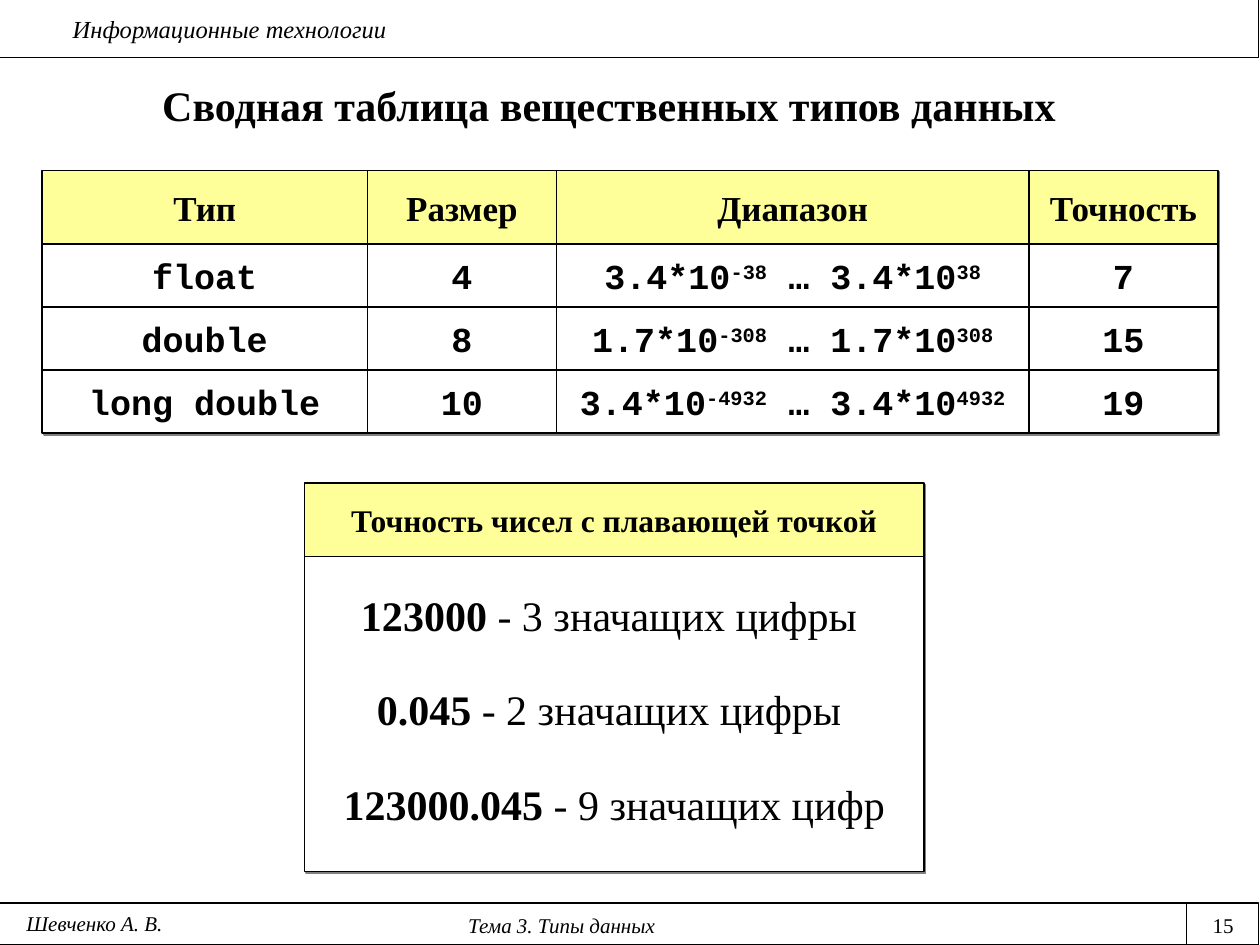
from itertools import accumulate

from lxml import etree
from pptx import Presentation
from pptx import util as u
from pptx.dml.color import RGBColor
from pptx.enum import shapes, text
from pptx.oxml import parse_xml
from pptx.oxml.ns import nsdecls, qn

Pt = u.Pt
SERIF, MONO = "Times New Roman", "Courier New"
BLACK, WHITE, YELLOW, GRAY = "000000", "FFFFFF", "FFFF99", "808080"
CENTER, LEFT = text.PP_ALIGN.CENTER, text.PP_ALIGN.LEFT


def color(hex_value):
    return RGBColor.from_string(hex_value)


def add_run(p, words, size, font=SERIF, bold=False, italic=False, raised=False):
    r = p.add_run()
    r.text = words
    f = r.font
    f.name, f.size, f.bold, f.italic = font, Pt(size), bold, italic
    f.color.rgb = color(BLACK)
    if raised:
        r._r.get_or_add_rPr().set("baseline", "30000")


def add_shadow(sp):
    effects = sp._element.spPr.find(qn("a:effectLst"))
    effects.append(parse_xml(
        f'<a:outerShdw {nsdecls("a")} dist="{Pt(1.41)}" dir="2700000" algn="ctr" rotWithShape="0">'
        f'<a:srgbClr val="{GRAY}"/></a:outerShdw>'))


def add_box(s, box, fill=WHITE, line=None, shadow=False):
    sp = s.shapes.add_shape(shapes.MSO_SHAPE.RECTANGLE, *map(Pt, box))
    sp.shadow.inherit = False
    sp.fill.solid()
    sp.fill.fore_color.rgb = color(fill)
    if line:
        sp.line.color.rgb = color(BLACK)
        sp.line.width = Pt(line)
    else:
        sp.line.fill.background()
    if shadow:
        add_shadow(sp)
    tf = sp.text_frame
    tf.word_wrap = True
    tf.vertical_anchor = text.MSO_ANCHOR.MIDDLE
    tf.paragraphs[0].alignment = CENTER
    return sp


def add_label(s, box, words, size, align=CENTER, anchor=text.MSO_ANCHOR.TOP, **style):
    tf = s.shapes.add_textbox(*map(Pt, box)).text_frame
    tf.word_wrap = True
    tf.vertical_anchor = anchor
    p = tf.paragraphs[0]
    p.alignment = align
    add_run(p, words, size, **style)


def add_header(s, box):
    x, y, w, h = box
    add_box(s, box, line=0.75)
    add_label(s, (x + 35.25, y + 5.15, 678, 24.5), "Информационные технологии", 14, LEFT, italic=True)


def add_footer(s, box):
    x, y, w, h = box
    number_w = 42
    number_x = x + w - number_w
    add_box(s, (x - 0.75, y, w, h), line=0.75)
    add_label(s, (x, y + 1.8, number_x - x - 36, 21.6), "Тема 3. Типы данных", 12, italic=True)
    add_label(s, (number_x, y + 1.8, number_w, 21.6), "15", 12)
    divider = s.shapes.add_connector(
        shapes.MSO_CONNECTOR.STRAIGHT, Pt(number_x), Pt(y), Pt(number_x), Pt(y + h))
    divider.line.color.rgb = color(BLACK)
    divider.line.width = Pt(0.75)
    etree.SubElement(divider._element.spPr, qn("a:effectLst"))
    add_label(s, (x, y + 0.75, 108, 21.6), "Шевченко А. В.", 12, italic=True)


def add_types_grid(s, box):
    x, y, w, h = box
    head_h, row_h = 42, (h - 42) / 3
    col_widths = (186, 108, w - 402, 108)
    lefts = accumulate(col_widths[:-1], initial=x)
    headings = ("Тип", "Размер", "Диапазон", "Точность")
    # type, size, mantissa, exponent, precision
    types = (("float", "4", "3.4", "38", "7"),
             ("double", "8", "1.7", "308", "15"),
             ("long double", "10", "3.4", "4932", "19"))

    rows = [[[h] for h in headings]]
    for name, size, mantissa, exponent, precision in types:
        limits = [f"{mantissa}*10", f"-{exponent}", f" … {mantissa}*10", exponent]
        rows.append([[name], [size], limits, [precision]])

    # Cells with a shadow each, column by column
    for left, width, column in zip(lefts, col_widths, zip(*rows)):
        for i, parts in enumerate(column):
            top = y + head_h + (i - 1) * row_h if i else y
            cell_box = (left, top, width, row_h if i else head_h)
            sp = add_box(s, cell_box, WHITE if i else YELLOW, 1, shadow=True)
            p = sp.text_frame.paragraphs[0]
            for k, part in enumerate(parts):
                add_run(p, part, 20, MONO if i else SERIF, bold=True, raised=k % 2 == 1)


def add_precision_panel(s, box):
    x, y, w, h = box
    head_h = 42
    head = add_box(s, (x, y, w, head_h), YELLOW, 1, shadow=True)
    add_run(head.text_frame.paragraphs[0], "Точность чисел с плавающей точкой", 18, bold=True)
    add_box(s, (x, y + head_h, w, h - head_h), line=1, shadow=True)

    # Example numbers at an equal step
    examples = (("123000 ", "- 3 значащих цифры", 336),
                ("0.045 ", "- 2 значащих цифры", 336),
                ("123000.045 ", "- 9 значащих цифр", 342))
    for i, (number, digits, width) in enumerate(examples):
        sp = add_box(s, (x + 6, y + 54 + 54 * i, width, 42))
        p = sp.text_frame.paragraphs[0]
        add_run(p, number, 24, bold=True)
        add_run(p, digits, 24)


def main():
    prs = Presentation()
    prs.slide_width, prs.slide_height = Pt(720), Pt(540)
    s = prs.slides.add_slide(prs.slide_layouts[6])
    add_footer(s, (0, 516, 720, 24))
    add_header(s, (-0.75, -0.75, 720, 33.75))
    add_label(s, (18, 42, 660, 36), "Сводная таблица вещественных типов данных", 24,
              anchor=text.MSO_ANCHOR.MIDDLE, bold=True)
    add_types_grid(s, (24, 97.5, 672, 150))
    add_precision_panel(s, (174, 276, 354, 222))
    prs.save("out.pptx")


if __name__ == "__main__":
    main()
